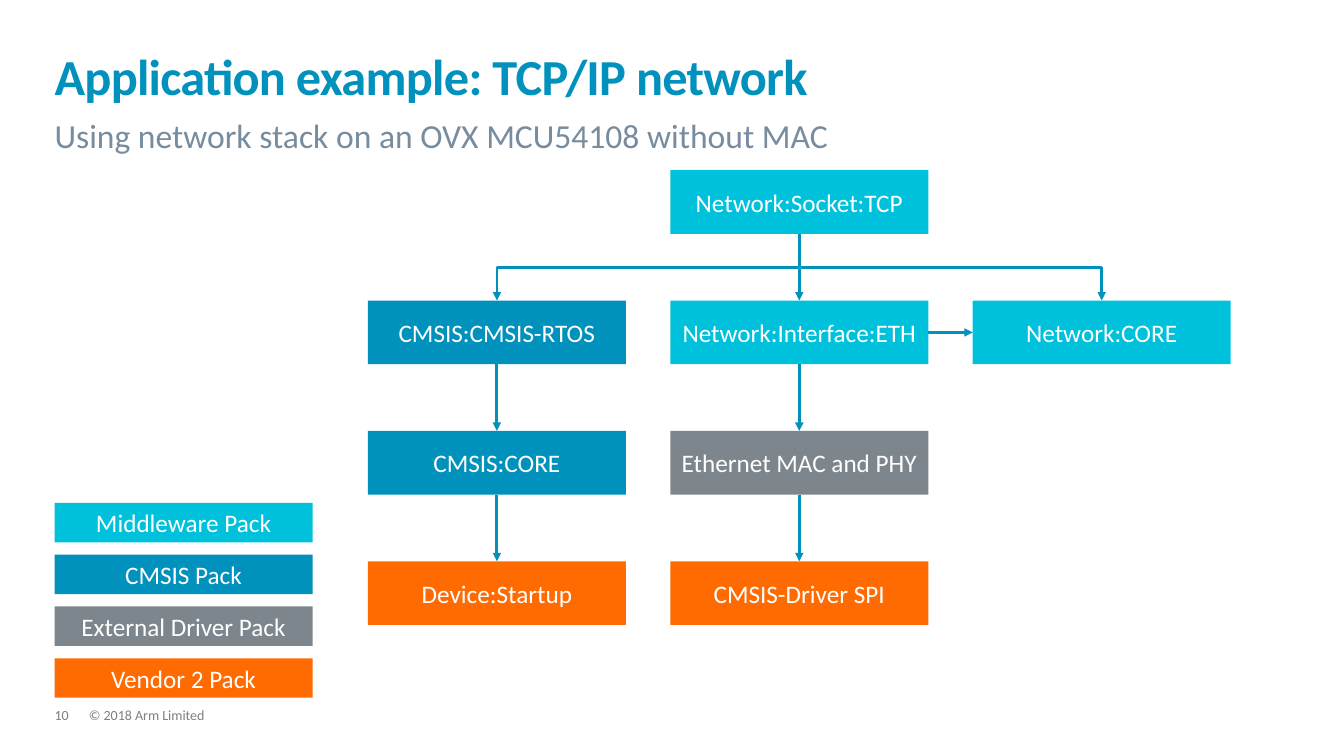
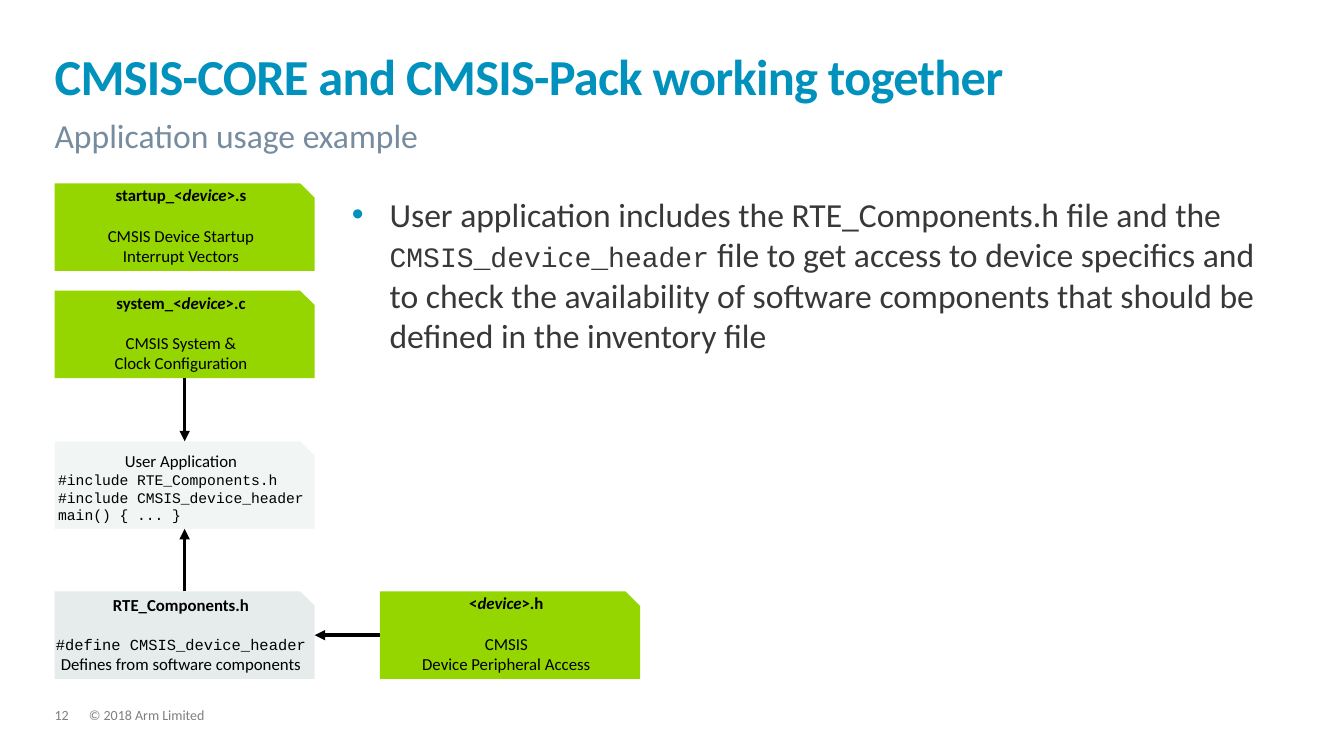
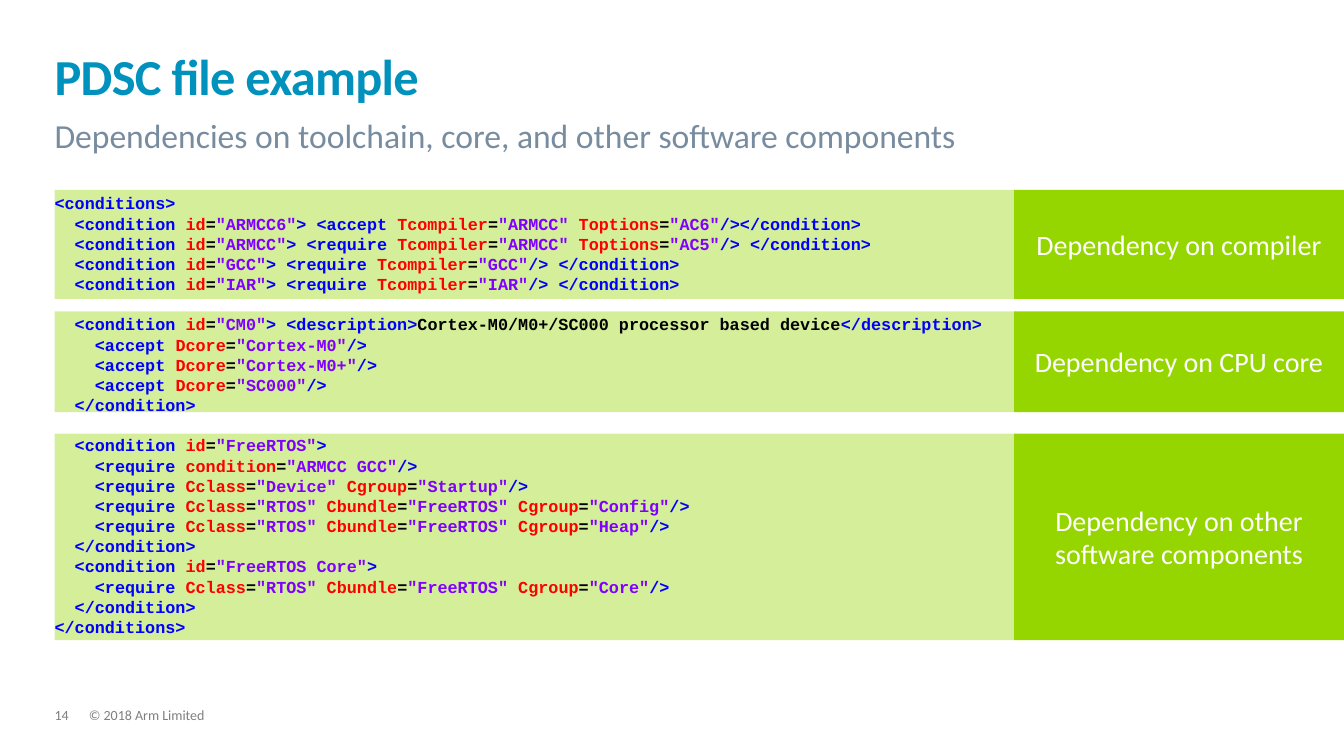
import pptx
import pptx.dml.color
import pptx.enum.shapes
import pptx.enum.text
import pptx.oxml
import pptx.oxml.ns
import pptx.util

Pt = pptx.util.Pt
RGB = pptx.dml.color.RGBColor
Kind = pptx.enum.shapes.MSO_SHAPE
Link = pptx.enum.shapes.MSO_CONNECTOR
Align = pptx.enum.text.PP_ALIGN
Anchor = pptx.enum.text.MSO_ANCHOR
qn = pptx.oxml.ns.qn

BLUE = RGB(0x00, 0x91, 0xBD)
CYAN = RGB(0x00, 0xC1, 0xDC)
GREY = RGB(0x7D, 0x86, 0x8C)
ORANGE = RGB(0xFF, 0x6B, 0x00)
GREEN = RGB(0x95, 0xD6, 0x00)
PALE = RGB(0xE5, 0xEC, 0xEB)
SLATE = RGB(0x77, 0x8C, 0x9F)
DARK = RGB(0x38, 0x38, 0x38)
FAINT = RGB(0x7F, 0x7F, 0x7F)
WHITE = RGB(0xFF, 0xFF, 0xFF)
BLACK = RGB(0x00, 0x00, 0x00)
TAG = RGB(0x00, 0x00, 0xFF)
NAME = RGB(0xFF, 0x00, 0x00)
VALUE = RGB(0x80, 0x00, 0xFF)
SANS, MONO = "Calibri", "Courier New"
EDGE, WIDE = 39, 880.5
TOP, LEFT, BOTTOM, RIGHT = range(4)

COMPILER = """<conditions>
  <condition id="ARMCC6"> <accept Tcompiler="ARMCC" Toptions="AC6"/></condition>
  <condition id="ARMCC"> <require Tcompiler="ARMCC" Toptions="AC5"/> </condition>
  <condition id="GCC"> <require Tcompiler="GCC"/> </condition>
  <condition id="IAR"> <require Tcompiler="IAR"/> </condition>"""
CORE = """  <condition id="CM0"> <description>Cortex-M0/M0+/SC000 processor based device</description>
    <accept Dcore="Cortex-M0"/>
    <accept Dcore="Cortex-M0+"/>
    <accept Dcore="SC000"/>
  </condition>"""
OTHER = """  <condition id="FreeRTOS">
    <require condition="ARMCC GCC"/>
    <require Cclass="Device" Cgroup="Startup"/>
    <require Cclass="RTOS" Cbundle="FreeRTOS" Cgroup="Config"/>
    <require Cclass="RTOS" Cbundle="FreeRTOS" Cgroup="Heap"/>
  </condition>
  <condition id="FreeRTOS Core">
    <require Cclass="RTOS" Cbundle="FreeRTOS" Cgroup="Core"/>
  </condition>
</conditions>"""


class Deck:
    """Holds the shared style and the slide being filled."""

    def __init__(self):
        self.show = pptx.Presentation()
        self.show.slide_width, self.show.slide_height = Pt(960), Pt(540)
        self.slide = None

    def start(self, number, title, sub):
        self.slide = self.show.slides.add_slide(self.show.slide_layouts[5])
        head = self.slide.shapes.title
        head.left, head.top, head.width, head.height = Pt(EDGE), Pt(23), Pt(WIDE), Pt(52.5)
        frame = self.frame(head, Anchor.BOTTOM)
        par = self.para(frame, lead=0.85)
        run = self.run(par, title, 36, BLUE, bold=True)
        run.font._element.set("spc", "-50")
        self.run(self.para(self.text(EDGE, 82, WIDE, 27.5)), sub, 24, SLATE)
        for left, width, words in ((EDGE, 24.5, number), (63.5, 657, "© 2018 Arm Limited")):
            par = self.para(self.text(left, 506, width, 11), lead=0.9)
            self.run(par, words, 10, FAINT)

    def frame(self, shape, anchor=Anchor.TOP, inset=0):
        frame = shape.text_frame
        frame.auto_size = pptx.enum.text.MSO_AUTO_SIZE.NONE
        frame.word_wrap = True
        frame.vertical_anchor = anchor
        frame.margin_left = frame.margin_right = Pt(inset)
        frame.margin_top = frame.margin_bottom = Pt(inset / 2)
        return frame

    def text(self, left, top, width, height):
        return self.frame(self.slide.shapes.add_textbox(Pt(left), Pt(top), Pt(width), Pt(height)))

    def para(self, frame, align=Align.LEFT, lead=None, gap=0):
        par = frame.paragraphs[0]
        if par.runs:
            par = frame.add_paragraph()
        par.alignment = align
        par.space_before = Pt(gap)
        if lead:
            par.line_spacing = lead
        return par

    def run(self, par, words, size, color, font=SANS, bold=False, slant=False):
        run = par.add_run()
        run.text = words
        run.font.name, run.font.size = font, Pt(size)
        run.font.bold, run.font.italic = bold, slant
        run.font.color.rgb = color
        return run

    def bullet(self, par, indent):
        props = par._p.get_or_add_pPr()
        props.set("marL", str(Pt(indent)))
        props.set("indent", str(-Pt(indent)))
        space = pptx.oxml.ns.nsdecls("a")
        for xml in (f'<a:buClr {space}><a:srgbClr val="{BLUE}"/></a:buClr>',
                    f'<a:buFont {space} typeface="Arial"/>',
                    f'<a:buChar {space} char="•"/>'):
            props.append(pptx.oxml.parse_xml(xml))

    def box(self, left, top, width, height, fill, kind=Kind.RECTANGLE, alpha=100):
        shape = self.slide.shapes.add_shape(kind, Pt(left), Pt(top), Pt(width), Pt(height))
        shape.shadow.inherit = False
        shape.fill.solid()
        shape.fill.fore_color.rgb = fill
        shape.line.fill.background()
        if alpha < 100:
            color = shape._element.spPr.find(".//" + qn("a:srgbClr"))
            color.makeelement(qn("a:alpha"))
            pptx.oxml.ns.qn("a:alpha")
            mark = color.makeelement(qn("a:alpha"), {"val": str(alpha * 1000)})
            color.append(mark)
        return shape

    def label(self, left, top, width, height, fill, words, size=18):
        shape = self.box(left, top, width, height, fill)
        par = self.para(self.frame(shape, Anchor.MIDDLE, 7.2), Align.CENTER)
        self.run(par, words, size, WHITE)
        return shape

    def file(self, left, top, fill, head, lines, gap=14.6, alpha=100):
        shape = self.box(left, top, 185.8, 62.6, fill, Kind.SNIP_1_RECTANGLE, alpha)
        frame = self.frame(shape, Anchor.BOTTOM, 7.2)
        frame.word_wrap = False
        par = self.para(frame, Align.CENTER)
        for words, bold, slant in head:
            self.run(par, words, 12, BLACK, bold=bold, slant=slant)
        for words, size, font, align in lines:
            par = self.para(frame, align, gap=gap)
            self.run(par, words, size, BLACK, font)
            gap = 0
        return shape

    def style(self, line, color, weight):
        line.line.color.rgb = color
        line.line.width = Pt(weight)
        props = line._element.spPr
        edge = props.find(qn("a:ln"))
        edge.append(edge.makeelement(qn("a:tailEnd"), {"type": "triangle"}))
        props.append(props.makeelement(qn("a:effectLst")))

    def arrow(self, source, out, target, into, color=BLUE, weight=2):
        line = self.slide.shapes.add_connector(Link.STRAIGHT, 0, 0, 0, 0)
        line.begin_connect(source, out)
        line.end_connect(target, into)
        self.style(line, color, weight)

    def elbow(self, source, target):
        fromx, tox = (s.left + s.width // 2 for s in (source, target))
        fromy, toy = source.top + source.height, target.top
        drop, reach = toy - fromy, abs(tox - fromx)
        left = (fromx + tox - drop) // 2
        top = (fromy + toy - reach) // 2
        ends, turn = (left, left + drop), 90
        if tox > fromx:
            ends, turn = ends[::-1], 270
        line = self.slide.shapes.add_connector(Link.ELBOW, ends[0], top, ends[1], top + reach)
        line._element.spPr.find(qn("a:xfrm")).set("rot", str(turn * 60000))
        self.style(line, BLUE, 2)

    def code(self, frame, block):
        gap = 14.4 if frame.paragraphs[0].runs else 0
        for line in block.split("\n"):
            par = self.para(frame, lead=Pt(14.4), gap=gap)
            gap = 0
            for words, color in tokens(line):
                self.run(par, words, 12, color, MONO, bold=True)


def tokens(line):
    """Yield the coloured parts of one line of XML."""
    for place, part in enumerate(line.split('"')):
        if place % 2:
            yield f'"{part}"', VALUE
            continue
        name = ""
        if part.endswith("="):
            start = part.rindex(" ") + 1
            part, name = part[:start], part[start:-1]
        for piece in part.replace("<", "\n<").replace(">", ">\n").split("\n"):
            if piece:
                tag = piece[0] == "<" or piece[-1] == ">"
                yield piece, TAG if tag else BLACK
        if name:
            yield name, NAME
            yield "=", BLACK


def network(deck):
    """Build the component diagram."""
    deck.start("10", "Application example: TCP/IP network",
               "Using network stack on an OVX MCU54108 without MAC")
    nodes = {}
    for col, row, fill, words in (
            (1, 0, CYAN, "Network:Socket:TCP"),
            (0, 1, BLUE, "CMSIS:CMSIS-RTOS"),
            (1, 1, CYAN, "Network:Interface:ETH"),
            (2, 1, CYAN, "Network:CORE"),
            (0, 2, BLUE, "CMSIS:CORE"),
            (1, 2, GREY, "Ethernet MAC and PHY"),
            (0, 3, ORANGE, "Device:Startup"),
            (1, 3, ORANGE, "CMSIS-Driver SPI")):
        nodes[col, row] = deck.label(262.8 + 216 * col, 121.6 + 93.1 * row, 184.3, 45.5, fill, words)
    packs = ((CYAN, "Middleware Pack"), (BLUE, "CMSIS Pack"),
             (GREY, "External Driver Pack"), (ORANGE, "Vendor 2 Pack"))
    for row, (fill, words) in enumerate(packs):
        deck.label(EDGE, 359.2 + 37 * row, 184.3, 28.2, fill, words)
    for col in (0, 2):
        deck.elbow(nodes[1, 0], nodes[col, 1])
    for col, row in nodes:
        if (col, row + 1) in nodes:
            deck.arrow(nodes[col, row], BOTTOM, nodes[col, row + 1], TOP)
    deck.arrow(nodes[1, 1], RIGHT, nodes[2, 1], LEFT)


def usage(deck):
    """Build the file diagram and its bullet."""
    deck.start("12", "CMSIS-CORE and CMSIS-Pack working together", "Application usage example")
    par = deck.para(deck.text(251.3, 138.5, 667.5, 270))
    deck.bullet(par, 27)
    par.line_spacing = Pt(28.8)
    deck.run(par, "User application includes the RTE_Components.h file and the ", 24, DARK)
    deck.run(par, "CMSIS_device_header", 20, DARK, MONO)
    deck.run(par, " file to get access to device specifics and to check the availability of "
             "software components that should be defined in the inventory file", 24, DARK)

    made = []
    for left, top, before, after, lines in (
            (EDGE, 131, "startup_<", ">.s", ("CMSIS Device Startup", "Interrupt Vectors")),
            (EDGE, 207.6, "system_<", ">.c", ("CMSIS System &", "Clock Configuration")),
            (271.4, 422.4, "<", ">.h", ("CMSIS", "Device Peripheral Access"))):
        head = ((before, True, False), ("device", True, True), (after, True, False))
        body = [(words, 12, SANS, Align.CENTER) for words in lines]
        made.append(deck.file(left, top, GREEN, head, body))
    clock, device = made[1:]
    source = ("#include RTE_Components.h", "#include CMSIS_device_header", "main() { ... }")
    user = deck.file(EDGE, 315.2, PALE, [("User Application", False, False)],
                     [(words, 10.5, MONO, Align.LEFT) for words in source], gap=0, alpha=50)
    parts = deck.file(EDGE, 422.4, PALE, [("RTE_Components.h", True, False)],
                      [("#define CMSIS_device_header", 11, MONO, Align.CENTER),
                       ("Defines from software components", 12, SANS, Align.CENTER)])
    for source, out, target, into in ((clock, BOTTOM, user, TOP), (parts, TOP, user, BOTTOM),
                                      (device, LEFT, parts, RIGHT)):
        deck.arrow(source, out, target, into, BLACK, 2.5)


def listing(deck):
    """Build the code listing with its labels."""
    deck.start("14", "PDSC file example",
               "Dependencies on toolchain, core, and other software components")
    for top, height, words in ((135.6, 78, "Dependency on compiler"),
                               (222.4, 72, "Dependency on CPU core"),
                               (309.8, 147.4, "Dependency on other software components")):
        deck.box(EDGE, top, 685.3, height, GREEN, alpha=40)
        deck.label(724.3, top, 235.7, height, GREEN, words, 20)
    frame = deck.text(EDGE, 138, WIDE, 322)
    for block in (COMPILER, CORE, OTHER):
        deck.code(frame, block)


def main():
    """Build and save the deck."""
    deck = Deck()
    for build in (network, usage, listing):
        build(deck)
    deck.show.save("out.pptx")


if __name__ == "__main__":
    main()
